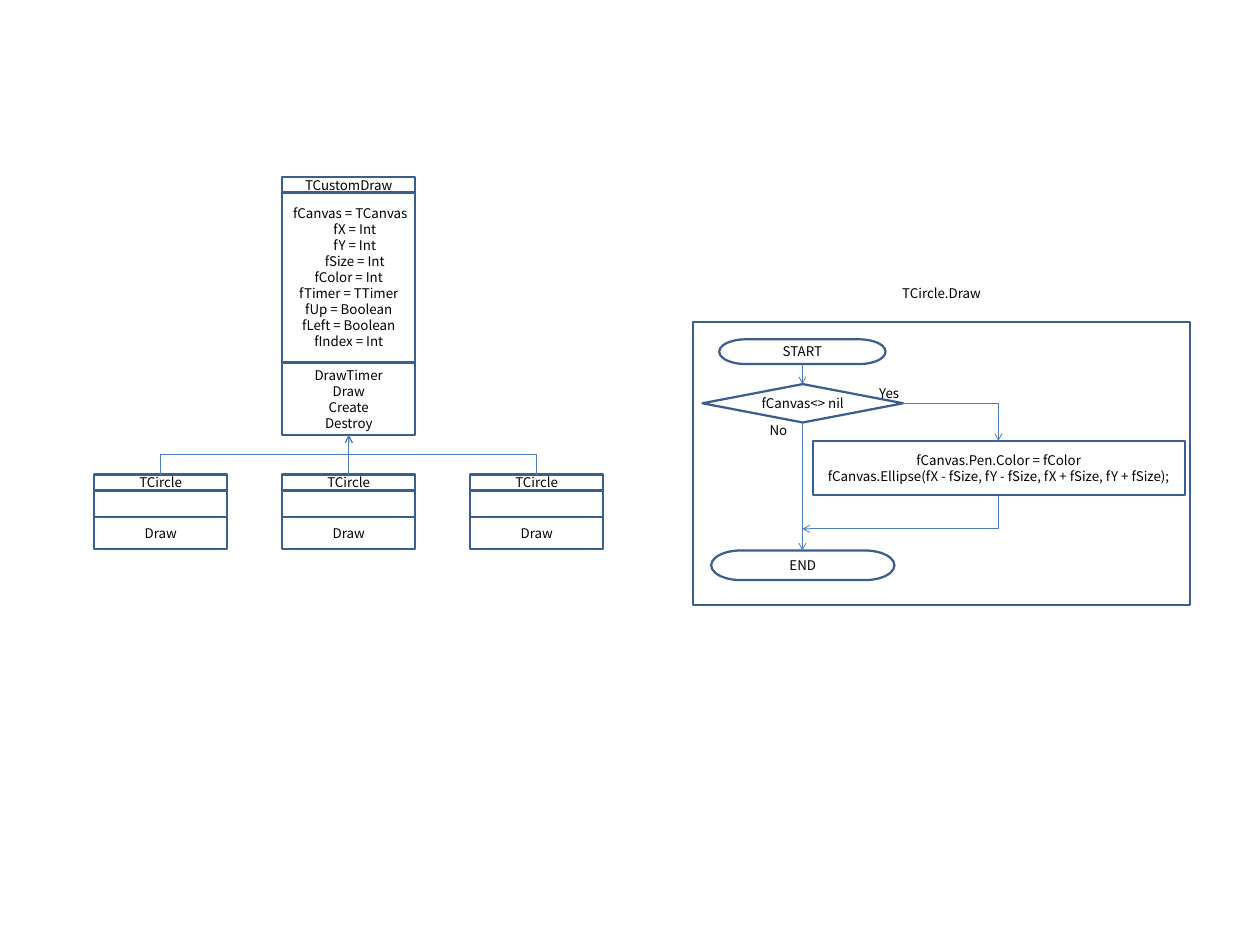
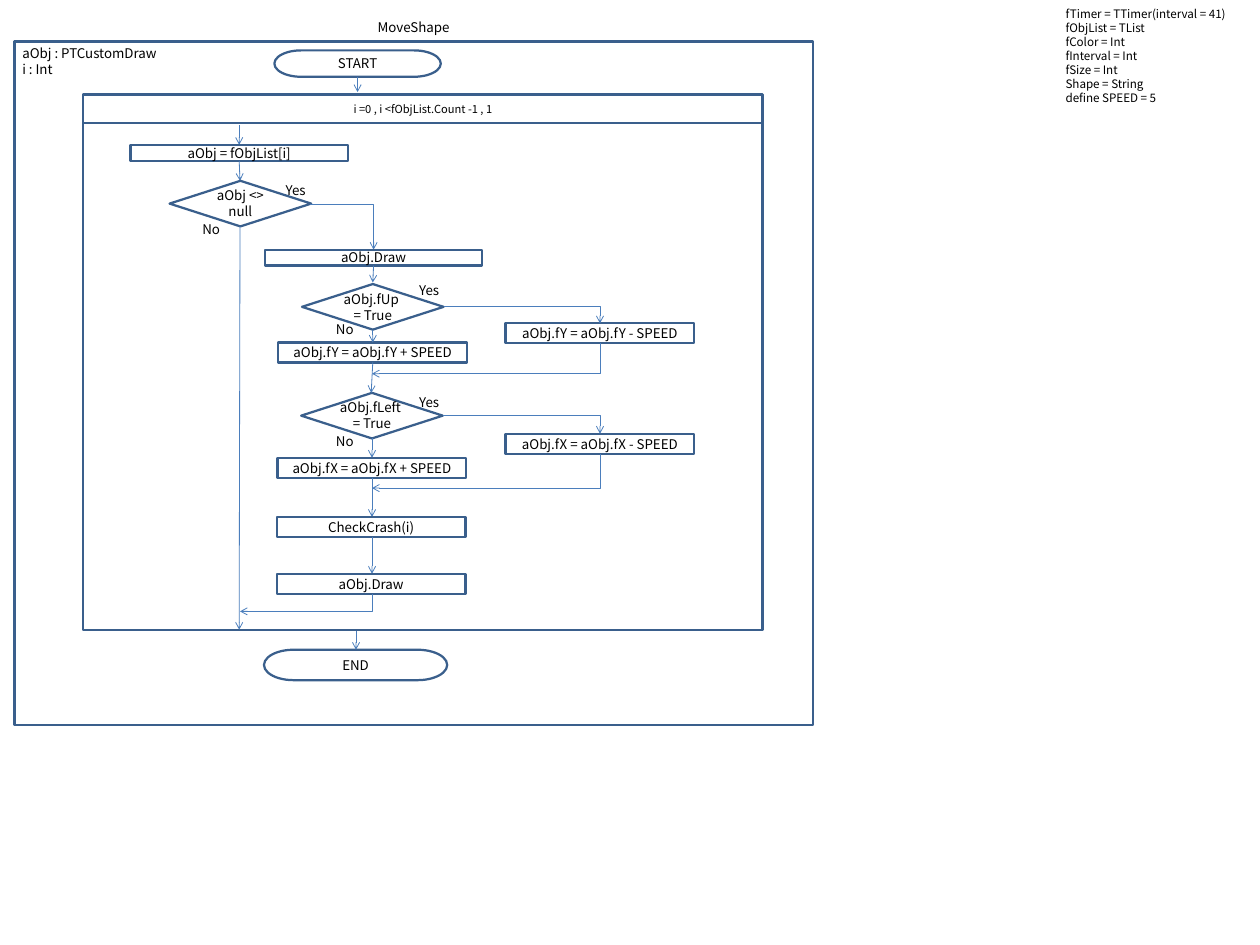
from pptx import Presentation
from pptx.dml.color import RGBColor
from pptx.enum.shapes import MSO_CONNECTOR as Conn, MSO_SHAPE as Kind
from pptx.enum.text import MSO_ANCHOR as Anchor, MSO_AUTO_SIZE as Auto, PP_ALIGN as Align
from pptx.oxml.ns import qn
from pptx.util import Inches, Pt
from lxml.etree import SubElement


def color(code):
    return RGBColor.from_string(code)


class Chart:
    """Draws class boxes and flow charts in one style."""
    FONT, INK, EDGE, ARROW = "Noto Sans CJK KR", "000000", "3A5F8C", "4B7EBC"

    def __init__(self, deck):
        self.deck = deck

    def page(self):
        self.slide = self.deck.slides.add_slide(self.deck.slide_layouts[6])

    # Text: one paragraph a line; indents maps a line number to inches
    def label(self, shape, lines, size, align, anchor, pads, indents):
        frame = shape.text_frame
        frame.word_wrap = True
        frame.vertical_anchor = anchor
        frame.margin_left = frame.margin_right = Inches(pads[0])
        frame.margin_top = frame.margin_bottom = Inches(pads[1])
        for i, line in enumerate(lines):
            para = frame.paragraphs[0] if i == 0 else frame.add_paragraph()
            para.alignment = align
            para.line_spacing = Pt(size * 1.2)
            if i in indents:
                para._p.get_or_add_pPr().set("marL", str(Inches(indents[i])))
            run = para.add_run()
            run.text = line
            run.font.size = Pt(size)
            run.font.name = self.FONT
            run.font.color.rgb = color(self.INK)

    # Outlined shapes
    def box(self, x, y, w, h, *lines, kind=Kind.RECTANGLE, size=12, pad=0, indents={}):
        shape = self.slide.shapes.add_shape(kind, Inches(x), Inches(y), Inches(w), Inches(h))
        shape.shadow.inherit = False
        shape.fill.background()
        shape.line.color.rgb = color(self.EDGE)
        shape.line.width = Pt(2)
        self.label(shape, lines, size, Align.CENTER, Anchor.MIDDLE, (0, pad), indents)

    def test(self, x, y, w, h, *lines):
        self.box(x, y, w, h, *lines, kind=Kind.FLOWCHART_DECISION, pad=0.01)

    def end(self, x, y, w, h, word):
        self.box(x, y, w, h, word, kind=Kind.FLOWCHART_TERMINATOR)

    # Free text
    def text(self, x, y, w, h, *lines, size=12, pads=(0, 0)):
        area = self.slide.shapes.add_textbox(Inches(x), Inches(y), Inches(w), Inches(h))
        self.label(area, lines, size, Align.LEFT, Anchor.TOP, pads, {})
        area.text_frame.auto_size = Auto.SHAPE_TO_FIT_TEXT

    def title(self, x, y, w, h, word):
        area = self.slide.shapes.add_textbox(Inches(x), Inches(y), Inches(w), Inches(h))
        self.label(area, [word], 12, Align.CENTER, Anchor.MIDDLE, (0, 0), {})

    def yes(self, x, y):
        self.text(x, y, 0.3, 0.14, "Yes")

    def no(self, x, y):
        self.text(x, y, 0.23, 0.14, "No")

    # Arrows
    def arrow(self, x1, y1, x2, y2, kind=Conn.STRAIGHT):
        link = self.slide.shapes.add_connector(kind, Inches(x1), Inches(y1), Inches(x2), Inches(y2))
        link.line.color.rgb = color(self.ARROW)
        link.line.width = Pt(0.75)
        props = link._element.spPr
        SubElement(props.find(qn("a:ln")), qn("a:tailEnd"), type="arrow")
        SubElement(props, qn("a:effectLst"))
        return props

    def across(self, x1, y1, x2, y2):
        """Right, then down."""
        props = self.arrow(x1, y1, x2, y2, Conn.ELBOW)
        props.find(qn("a:prstGeom")).set("prst", "bentConnector2")

    def turned(self, x1, y1, x2, y2, angle, flip=False):
        """An elbow that leaves upright: its frame is turned about its middle."""
        mx, my = (x1 + x2) / 2, (y1 + y2) / 2
        dx, dy = abs(y2 - y1) / 2, abs(x2 - x1) / 2
        if flip:
            dy = -dy
        props = self.arrow(mx - dx, my - dy, mx + dx, my + dy, Conn.ELBOW)
        props.find(qn("a:xfrm")).set("rot", str(angle * 60000))
        return props

    def back(self, x1, y1, x2, y2):
        """Down, then left."""
        props = self.turned(x1, y1, x2, y2, 90)
        props.find(qn("a:prstGeom")).set("prst", "bentConnector2")


deck = Presentation()
deck.slide_width, deck.slide_height = Inches(15.75), Inches(11.81)
chart = Chart(deck)

# Slide 1: base class
chart.page()
WIDE, STEP, LEFT = 1.66, 2.35, 1.18
base = LEFT + STEP
chart.box(base, 2.21, WIDE, 0.2, "TCustomDraw")
chart.box(base, 2.4, WIDE, 2.13, "fCanvas = TCanvas", "fX = Int", "fY = Int", "fSize = Int",
          "fColor = Int", "fTimer = TTimer", "fUp = Boolean", "fLeft = Boolean", "fIndex = Int",
          indents={0: 0.04, 1: 0.15, 2: 0.15, 3: 0.15})
chart.box(base, 4.54, WIDE, 0.9, "DrawTimer", "Draw", "Create", "Destroy")

# Derived classes
for i in range(3):
    x = LEFT + i * STEP
    chart.box(x, 5.93, WIDE, 0.2, "TCircle")
    chart.box(x, 6.13, WIDE, 0.33)
    chart.box(x, 6.46, WIDE, 0.4, "Draw")
top = base + WIDE / 2
chart.turned(top + STEP, 5.93, top, 5.44, 270, flip=True)
chart.arrow(top, 5.93, top, 5.44)
chart.turned(top - STEP, 5.93, top, 5.44, 270)

# Flow of TCircle.Draw
chart.box(8.66, 4.02, 6.22, 3.54)
chart.title(8.66, 3.35, 6.22, 0.63, "TCircle.Draw")
chart.end(8.99, 4.24, 2.08, 0.31, "START")
chart.end(8.89, 6.88, 2.29, 0.37, "END")
chart.arrow(10.03, 4.56, 10.03, 4.8)
chart.arrow(10.03, 5.28, 10.03, 6.88)
chart.test(8.78, 4.8, 2.51, 0.48, "fCanvas<> nil")
chart.box(10.16, 5.51, 4.65, 0.68, "fCanvas.Pen.Color = fColor",
          "fCanvas.Ellipse(fX - fSize, fY - fSize, fX + fSize, fY + fSize);")
chart.across(11.29, 5.04, 12.48, 5.51)
chart.back(12.48, 6.2, 10.03, 6.61)
chart.yes(10.99, 4.82)
chart.no(9.62, 5.28)

# Slide 2: frame of MoveShape
chart.page()
chart.box(0.18, 0.52, 9.98, 8.54)
chart.title(0.18, 0.16, 9.98, 0.36, "MoveShape")
chart.text(0.18, 0.52, 2.08, 0.5, "aObj : PTCustomDraw", "i : Int", pads=(0.1, 0.05))
chart.end(3.43, 0.63, 2.08, 0.33, "START")
chart.end(3.3, 8.12, 2.29, 0.38, "END")
chart.arrow(4.47, 0.96, 4.47, 1.15)
chart.arrow(4.45, 7.87, 4.45, 8.12)

# Loop and null test
chart.box(1.04, 1.54, 8.49, 6.33)
chart.box(1.04, 1.18, 8.49, 0.36, "i =0 , i <fObjList.Count -1 , 1", size=10)
chart.arrow(2.99, 1.56, 2.99, 1.81)
chart.box(1.63, 1.81, 2.72, 0.2, "aObj = fObjList[i]")
chart.arrow(2.99, 2.01, 3, 2.26)
chart.test(2.12, 2.26, 1.77, 0.57, "aObj <> null")
chart.yes(3.57, 2.28)
chart.no(2.53, 2.77)
chart.arrow(3, 2.83, 2.99, 7.87)
chart.across(3.88, 2.55, 4.67, 3.12)
chart.box(3.31, 3.12, 2.72, 0.2, "aObj.Draw")
chart.arrow(4.67, 3.32, 4.66, 3.53)

# Two moves: flag, axis, middle, then tops of test, plus, minus, join and labels
HALF = 1.77 / 2
moves = [("fUp", "fY", 4.66, 3.55, 4.28, 4.04, 4.67, 3.53, 4.02),
         ("fLeft", "fX", 4.65, 4.91, 5.72, 5.42, 6.1, 4.93, 5.42)]
for flag, axis, mid, test, plus, minus, join, yes, no in moves:
    chart.test(mid - HALF, test, 2 * HALF, 0.57, f"aObj.{flag} ", "= True")
    chart.box(mid - 1.18, plus, 2.36, 0.25, f"aObj.{axis} = aObj.{axis} + SPEED")
    chart.box(6.32, minus, 2.36, 0.25, f"aObj.{axis} = aObj.{axis} - SPEED")
    chart.across(mid + HALF, test + 0.57 / 2, 7.5, minus)
    chart.arrow(mid, test + 0.57, mid, plus)
    chart.back(7.5, minus + 0.25, 4.65, join)
    chart.yes(5.24, yes)
    chart.no(4.2, no)

# Steps after the moves
chart.arrow(4.66, 4.53, 4.64, 4.91)
chart.arrow(4.65, 5.97, 4.65, 6.46)
chart.box(3.46, 6.46, 2.36, 0.25, "CheckCrash(i)")
chart.arrow(4.65, 6.71, 4.65, 7.17)
chart.box(3.46, 7.17, 2.36, 0.25, "aObj.Draw")
chart.back(4.65, 7.42, 3, 7.64)

# Variables
chart.text(13.32, 0.08, 2.43, 1.24, "fTimer = TTimer(interval = 41)", "fObjList = TList",
           "fColor = Int", "fInterval = Int", "fSize = Int", "Shape = String",
           "define SPEED = 5", size=10.5)

deck.save("out.pptx")
